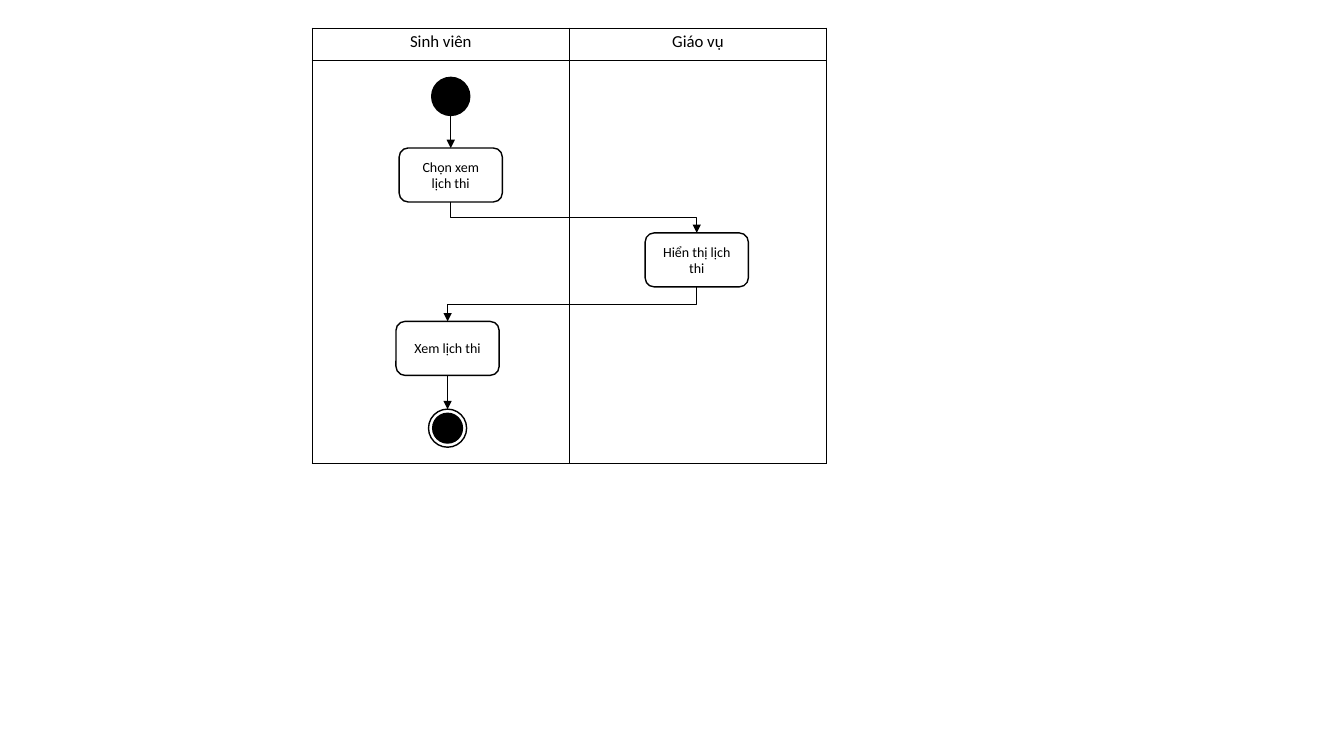
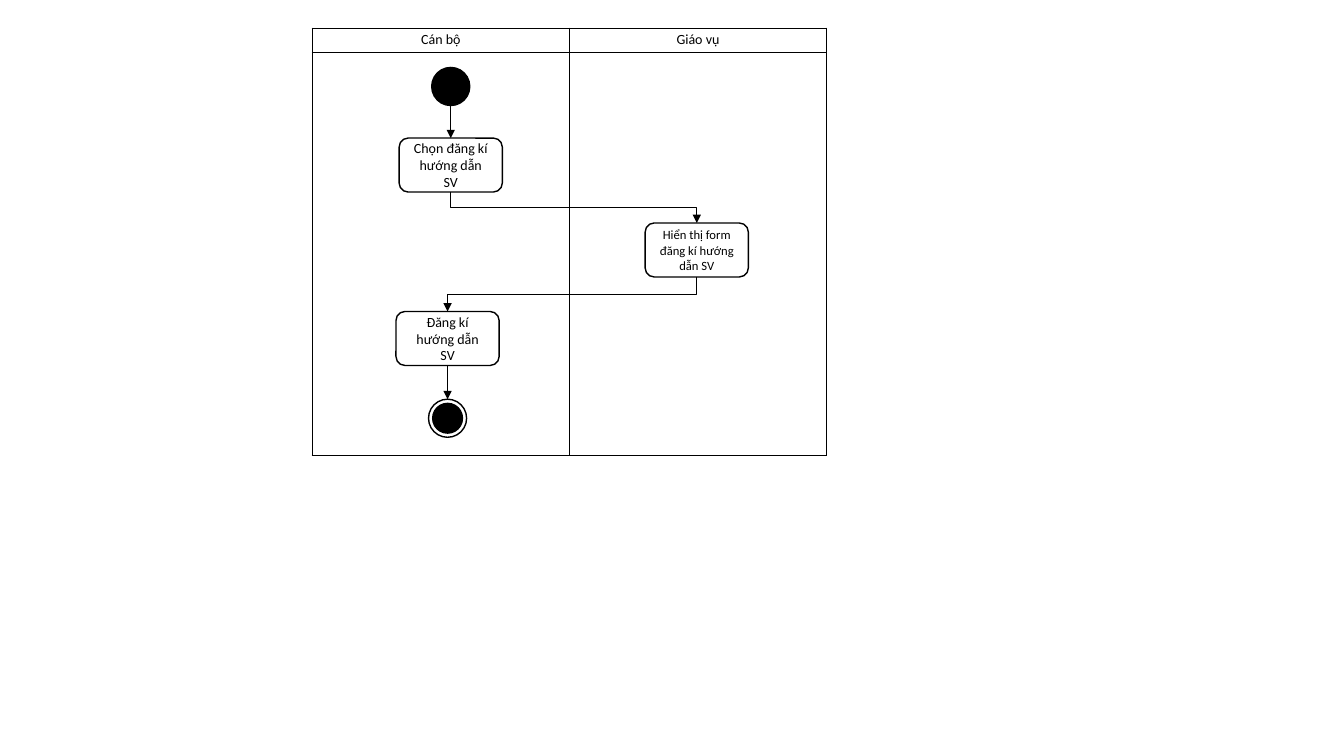
from dataclasses import dataclass
from typing import Any

from pptx import Presentation
from pptx.dml.color import RGBColor
from pptx.enum.shapes import MSO_CONNECTOR as CONN, MSO_SHAPE as SHAPE
from pptx.enum.text import MSO_ANCHOR as ANCHOR, PP_ALIGN as ALIGN
from pptx.oxml import parse_xml
from pptx.oxml.ns import nsdecls, qn
from pptx.util import Cm, Pt

FONT = "Calibri"
BLACK, WHITE = "000000", "FFFFFF"
TABLE_X, TABLE_Y, LANE_W, BODY_H = 7.87, 0.71, 6.48, 10.16
BOX_W, BOX_H = 2.6, 1.36
NODE_D, CORE_D = 0.96, 0.75
START_X, END_X, STAFF_X = 11.36, 11.28, 17.56
START_Y, STEP_1_Y, STEP_2_Y, STEP_3_Y, END_Y = 1.95, 3.73, 5.87, 8.1, 10.31


@dataclass
class Step:
    text: str
    x: float
    y: float
    size: float = 10


@dataclass
class Activity:
    lanes: tuple[str, str]
    header_h: float
    header_size: float
    shift: float
    steps: list[Step]


ACTIVITIES = [
    Activity(("Sinh viên", "Giáo vụ"), 0.81, 12, 0, [
        Step("Chọn xem lịch thi", START_X, STEP_1_Y),
        Step("Hiển thị lịch thi", STAFF_X, STEP_2_Y),
        Step("Xem lịch thi", END_X, STEP_3_Y),
    ]),
    Activity(("Cán bộ", "Giáo vụ"), 0.61, 10, -0.25, [
        Step("Chọn đăng kí hướng dẫn SV", START_X, STEP_1_Y),
        Step("Hiển thị form đăng kí hướng dẫn SV", STAFF_X, STEP_2_Y, 9),
        Step("Đăng kí hướng dẫn SV", END_X, STEP_3_Y),
    ]),
]


def rgb(color: str) -> RGBColor:
    return RGBColor.from_string(color)


def write(tf: Any, text: str, *, size: float, color: str = BLACK,
          align: ALIGN = ALIGN.CENTER) -> None:
    p = tf.paragraphs[0]
    p.alignment = align
    r = p.add_run()
    r.text = text
    r.font.name = FONT
    r.font.size = Pt(size)
    r.font.color.rgb = rgb(color)


def add_node(s: Any, kind: SHAPE, x: float, y: float, w: float, h: float,
             fill: str) -> Any:
    sp = s.shapes.add_shape(kind, Cm(x - w / 2), Cm(y), Cm(w), Cm(h))
    sp.shadow.inherit = False
    sp.fill.solid()
    sp.fill.fore_color.rgb = rgb(fill)
    sp.line.color.rgb = rgb(BLACK)
    sp.line.width = Pt(1)
    return sp


def add_step(s: Any, step: Step, shift: float) -> Any:
    sp = add_node(s, SHAPE.ROUNDED_RECTANGLE, step.x, step.y + shift, BOX_W, BOX_H, WHITE)
    tf = sp.text_frame
    tf.word_wrap = True
    tf.vertical_anchor = ANCHOR.MIDDLE
    write(tf, step.text, size=step.size)
    return sp


def add_circle(s: Any, x: float, y: float, d: float, fill: str) -> Any:
    return add_node(s, SHAPE.OVAL, x, y, d, d, fill)


def turn_elbow(c: Any) -> None:
    dx, dy = c.end_x - c.begin_x, c.end_y - c.begin_y
    mid_x, mid_y = (c.begin_x + c.end_x) // 2, (c.begin_y + c.end_y) // 2
    c.width, c.height = dy, abs(dx)
    c.left, c.top = mid_x - dy // 2, mid_y - abs(dx) // 2
    xfrm = c._element.spPr.find(qn("a:xfrm"))
    xfrm.set("rot", "16200000" if dx > 0 else "5400000")
    xfrm.set("flipH", "1" if dx > 0 else "0")
    xfrm.set("flipV", "0")


def add_arrow(s: Any, source: Any, target: Any, kind: CONN = CONN.STRAIGHT,
              join_source: bool = True) -> None:
    c = s.shapes.add_connector(kind, source.left + source.width // 2,
                               source.top + source.height,
                               target.left + target.width // 2, target.top)
    if join_source:
        c.begin_connect(source, 2)
    c.end_connect(target, 0)
    if kind == CONN.ELBOW:
        turn_elbow(c)
    c.line.color.rgb = rgb(BLACK)
    c.line.width = Pt(0.5)
    c.line._get_or_add_ln().append(parse_xml(f'<a:tailEnd {nsdecls("a")} type="triangle"/>'))
    c._element.spPr.append(parse_xml(f'<a:effectLst {nsdecls("a")}/>'))


def format_cell(cell: Any) -> None:
    cell.margin_left = cell.margin_right = Cm(0.16)
    cell.margin_top = cell.margin_bottom = Cm(0.08)
    for side in ("lnL", "lnR", "lnT", "lnB"):
        cell._tc.get_or_add_tcPr().append(parse_xml(
            f'<a:{side} {nsdecls("a")} w="{Pt(1)}"><a:solidFill>'
            f'<a:srgbClr val="{BLACK}"/></a:solidFill></a:{side}>'))
    cell.fill.background()


def add_lanes(s: Any, activity: Activity) -> None:
    heights = (activity.header_h, BODY_H)
    n = len(activity.lanes)
    table = s.shapes.add_table(len(heights), n, Cm(TABLE_X), Cm(TABLE_Y),
                               Cm(LANE_W * n), Cm(sum(heights))).table
    table.first_row = table.horz_banding = False
    for row, h in zip(table.rows, heights):
        row.height = Cm(h)
    for cell in table.iter_cells():
        format_cell(cell)
    for i, name in enumerate(activity.lanes):
        write(table.cell(0, i).text_frame, name, size=activity.header_size)


def add_activity(prs: Any, activity: Activity) -> None:
    s = prs.slides.add_slide(prs.slide_layouts[6])
    add_lanes(s, activity)
    choose, show, finish = [add_step(s, step, activity.shift) for step in activity.steps]
    start = add_circle(s, START_X, START_Y + activity.shift, NODE_D, BLACK)
    end_y = END_Y + activity.shift
    end = add_circle(s, END_X, end_y, NODE_D, WHITE)
    add_circle(s, END_X, end_y + (NODE_D - CORE_D) / 2, CORE_D, BLACK)
    add_arrow(s, start, choose, join_source=False)
    add_arrow(s, choose, show, CONN.ELBOW)
    add_arrow(s, show, finish, CONN.ELBOW)
    add_arrow(s, finish, end)


def main() -> None:
    prs = Presentation()
    prs.slide_width, prs.slide_height = Cm(33.87), Cm(19.05)
    for activity in ACTIVITIES:
        add_activity(prs, activity)
    prs.save("out.pptx")


if __name__ == "__main__":
    main()
